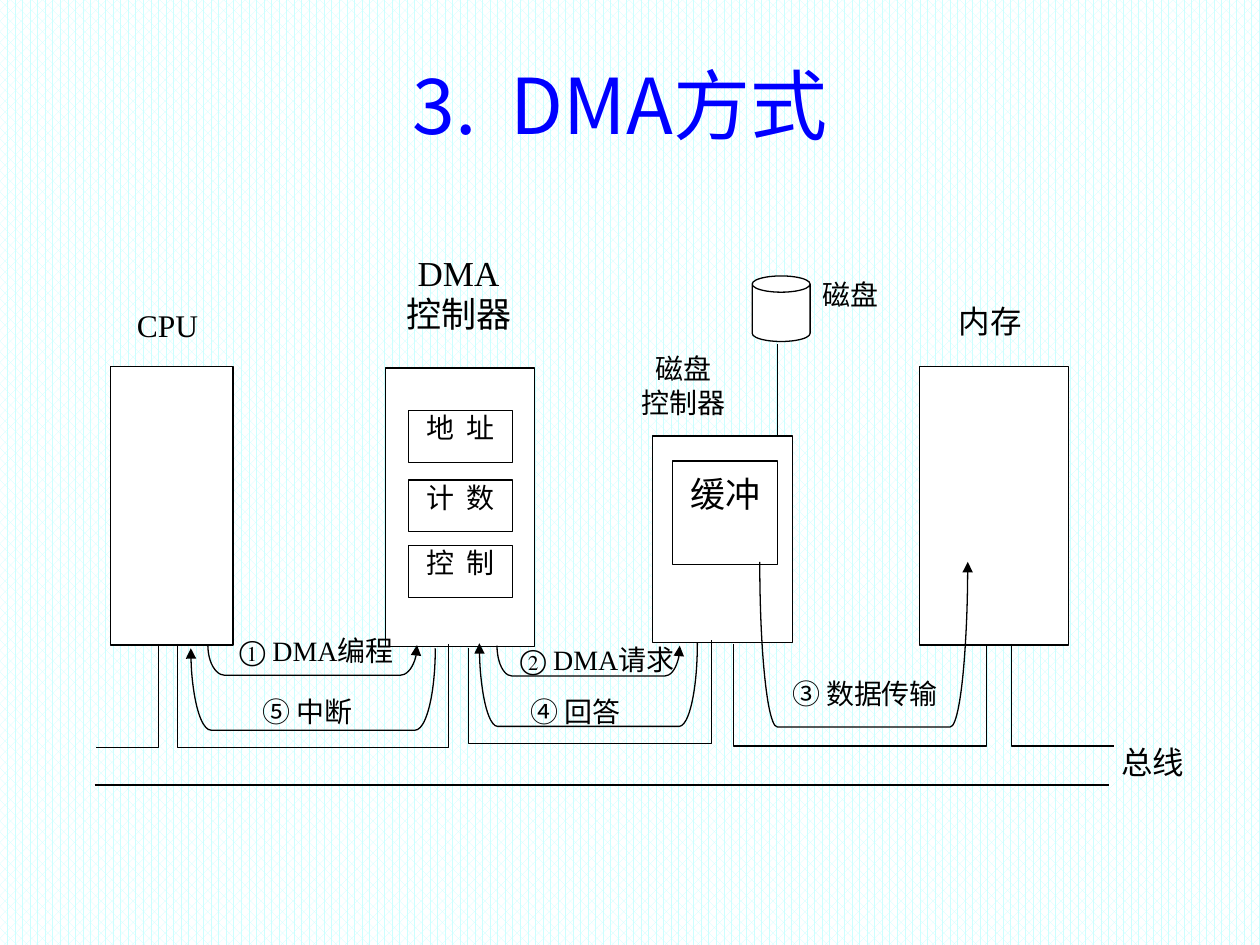
from dataclasses import dataclass

from lxml import etree
from pptx import Presentation
from pptx.dml.color import RGBColor
from pptx.enum.dml import MSO_PATTERN
from pptx.enum.shapes import MSO_CONNECTOR, MSO_SHAPE
from pptx.enum.text import MSO_ANCHOR, MSO_AUTO_SIZE, PP_ALIGN
from pptx.oxml.ns import qn
from pptx.util import Inches, Pt

BLACK = RGBColor(0, 0, 0)
WHITE = RGBColor(255, 255, 255)
BLUE = RGBColor(0, 0, 255)
PALE_CYAN = RGBColor(0xCC, 0xFF, 0xFF)
SERIF = "Times New Roman"
CJK = "Noto Sans CJK JP"
CENTER, JUSTIFY = PP_ALIGN.CENTER, PP_ALIGN.JUSTIFY
TOP, MIDDLE = MSO_ANCHOR.TOP, MSO_ANCHOR.MIDDLE
NO_AUTOFIT = MSO_AUTO_SIZE.NONE
RECT, CAN, BRACKET = MSO_SHAPE.RECTANGLE, MSO_SHAPE.CAN, MSO_SHAPE.LEFT_BRACKET
STRAIGHT = MSO_CONNECTOR.STRAIGHT
PERCENT_60 = MSO_PATTERN.PERCENT_60

Box = tuple[float, float, float, float]
Point = tuple[float, float]


@dataclass
class Label:
    text: str
    box: Box
    size: int = 16
    align: PP_ALIGN = CENTER
    inset_x: float = 0.02
    inset_y: float = 0.01
    spacing: float = 1.0


@dataclass
class Arrow:
    box: Box
    bend: float
    end: str = "tailEnd"
    flipped: bool = False


LABELS = [
    Label("CPU", (0.94, 2.42, 0.78, 0.43), 18),
    Label("DMA\n控制器", (3.19, 2.02, 0.9, 0.75), 20, inset_y=0, spacing=0.96),
    Label("内存", (7.41, 2.39, 0.9, 0.46), 18),
    Label("磁盘", (6.51, 2.19, 0.61, 0.52), align=JUSTIFY),
    Label("磁盘\n控制器", (5.02, 2.78, 0.81, 0.65)),
    Label("总线", (8.88, 5.89, 0.71, 0.55), 18, JUSTIFY),
    Label("① DMA编程", (1.88, 5.02, 1.33, 0.32), align=JUSTIFY),
    Label("② DMA请求", (4.01, 5.09, 1.46, 0.32)),
    Label("③ 数据传输", (6.23, 5.36, 1.27, 0.41), inset_x=0),
    Label("④ 回答", (4.12, 5.5, 0.9, 0.41)),
    Label("⑤ 中断", (1.93, 5.5, 1.02, 0.4)),
]
UNITS = [
    (0.88, 2.91, 0.97, 2.21),
    (3.06, 2.92, 1.18, 2.21),
    (5.18, 3.46, 1.11, 1.64),
    (7.3, 2.91, 1.18, 2.21),
]
REGISTERS = {"地  址": 3.26, "计  数": 3.81, "控  制": 4.33}
BUS_WIRES = [
    [(1.26, 5.11), (1.26, 5.93), (0.76, 5.93)],
    [(1.41, 5.11), (1.41, 5.93), (3.56, 5.93), (3.56, 5.11)],
    [(3.72, 5.14), (3.72, 5.9), (5.65, 5.9), (5.65, 5.08)],
    [(5.82, 5.11), (5.82, 5.92), (7.83, 5.92), (7.83, 5.11)],
    [(8.03, 5.11), (8.03, 5.92), (8.84, 5.92)],
]
LINES = [((6.17, 2.73), (6.17, 3.46)), ((0.75, 6.23), (8.8, 6.23))]
ARROWS = [
    Arrow((2.16, 4.5, 0.65, 1.94), 0.246),
    Arrow((6.2, 4.29, 1.31, 1.65), 0.106, flipped=True),
    Arrow((2.36, 4.41, 0.24, 1.66), 0.566, "headEnd"),
    Arrow((4.55, 4.52, 0.24, 1.45), 0.495, "headEnd"),
    Arrow((4.34, 4.57, 0.66, 1.73), 0.22),
]


def apply(target, values: dict) -> None:
    for name, value in values.items():
        setattr(target, name, value)


def add_run(p, text: str, size: int, font: str, color: RGBColor) -> None:
    r = p.add_run()
    r.text = text
    apply(r.font, {"size": Pt(size), "name": font})
    r.font.color.rgb = color
    etree.SubElement(r.font._element, qn("a:ea")).set("typeface", CJK)


def write(sp, label: Label) -> None:
    tf = sp.text_frame
    x, y = Inches(label.inset_x), Inches(label.inset_y)
    apply(tf, {"word_wrap": True, "auto_size": NO_AUTOFIT, "vertical_anchor": TOP,
               "margin_left": x, "margin_right": x,
               "margin_top": y, "margin_bottom": y})
    for i, text in enumerate(label.text.split("\n")):
        p = tf.add_paragraph() if i else tf.paragraphs[0]
        apply(p, {"alignment": label.align, "line_spacing": label.spacing})
        add_run(p, text, label.size, SERIF, BLACK)


def outline(sp, filled: bool):
    sp.shadow.inherit = False
    if filled:
        sp.fill.solid()
        sp.fill.fore_color.rgb = WHITE
    else:
        sp.fill.background()
    sp.line.color.rgb = BLACK
    sp.line.width = Pt(0.75)
    return sp


def add_block(shapes, box: Box, kind: MSO_SHAPE = RECT, filled: bool = True):
    return outline(shapes.add_shape(kind, *map(Inches, box)), filled)


def add_wire(shapes, points: list[Point]) -> None:
    start, *rest = [tuple(map(Inches, point)) for point in points]
    builder = shapes.build_freeform(*start)
    builder.add_line_segments(rest, close=False)
    outline(builder.convert_to_shape(), False)


def add_line(shapes, start: Point, end: Point) -> None:
    line = shapes.add_connector(STRAIGHT, *map(Inches, start + end))
    line.line.color.rgb = BLACK
    line.line.width = Pt(0.75)
    etree.SubElement(line._element.spPr, qn("a:effectLst"))


def add_arrow(shapes, arrow: Arrow) -> None:
    sp = add_block(shapes, arrow.box, BRACKET, False)
    sp.adjustments[0] = arrow.bend
    sp.rotation = 270
    if arrow.flipped:
        sp._element.spPr.xfrm.set("flipV", "1")
    ln = sp.line._get_or_add_ln()
    etree.SubElement(ln, qn(f"a:{arrow.end}")).set("type", "triangle")


def add_title(s, text: str) -> None:
    title = s.shapes.title
    apply(title, {"left": Inches(0.67), "top": Inches(0.28),
                  "width": Inches(8.5), "height": Inches(1.08)})
    tf = title.text_frame
    apply(tf, {"vertical_anchor": MIDDLE, "auto_size": NO_AUTOFIT, "word_wrap": True})
    p = tf.paragraphs[0]
    p.alignment = CENTER
    add_run(p, text, 44, CJK, BLUE)


def main() -> None:
    prs = Presentation()
    apply(prs, {"slide_width": Inches(10), "slide_height": Inches(7.5)})
    s = prs.slides.add_slide(prs.slide_layouts[5])
    fill = s.background.fill
    fill.patterned()
    fill.pattern = PERCENT_60
    fill.fore_color.rgb = PALE_CYAN
    fill.back_color.rgb = WHITE
    add_title(s, "3.  DMA方式")
    for box in UNITS:
        add_block(s.shapes, box)
    registers = s.shapes.add_group_shape()
    for text, top in REGISTERS.items():
        box = (3.24, top, 0.83, 0.41)
        write(add_block(registers.shapes, box), Label(text, box, inset_y=0))
    buffer = Label("缓冲", (5.34, 3.66, 0.83, 0.82), 20, inset_y=0.09)
    write(add_block(s.shapes, buffer.box), buffer)
    disk = add_block(s.shapes, (5.97, 2.19, 0.46, 0.52), CAN)
    disk.adjustments[0] = 0.28
    for points in BUS_WIRES:
        add_wire(s.shapes, points)
    for start, end in LINES:
        add_line(s.shapes, start, end)
    for arrow in ARROWS:
        add_arrow(s.shapes, arrow)
    for label in LABELS:
        write(s.shapes.add_textbox(*map(Inches, label.box)), label)
    prs.save("out.pptx")


main()
